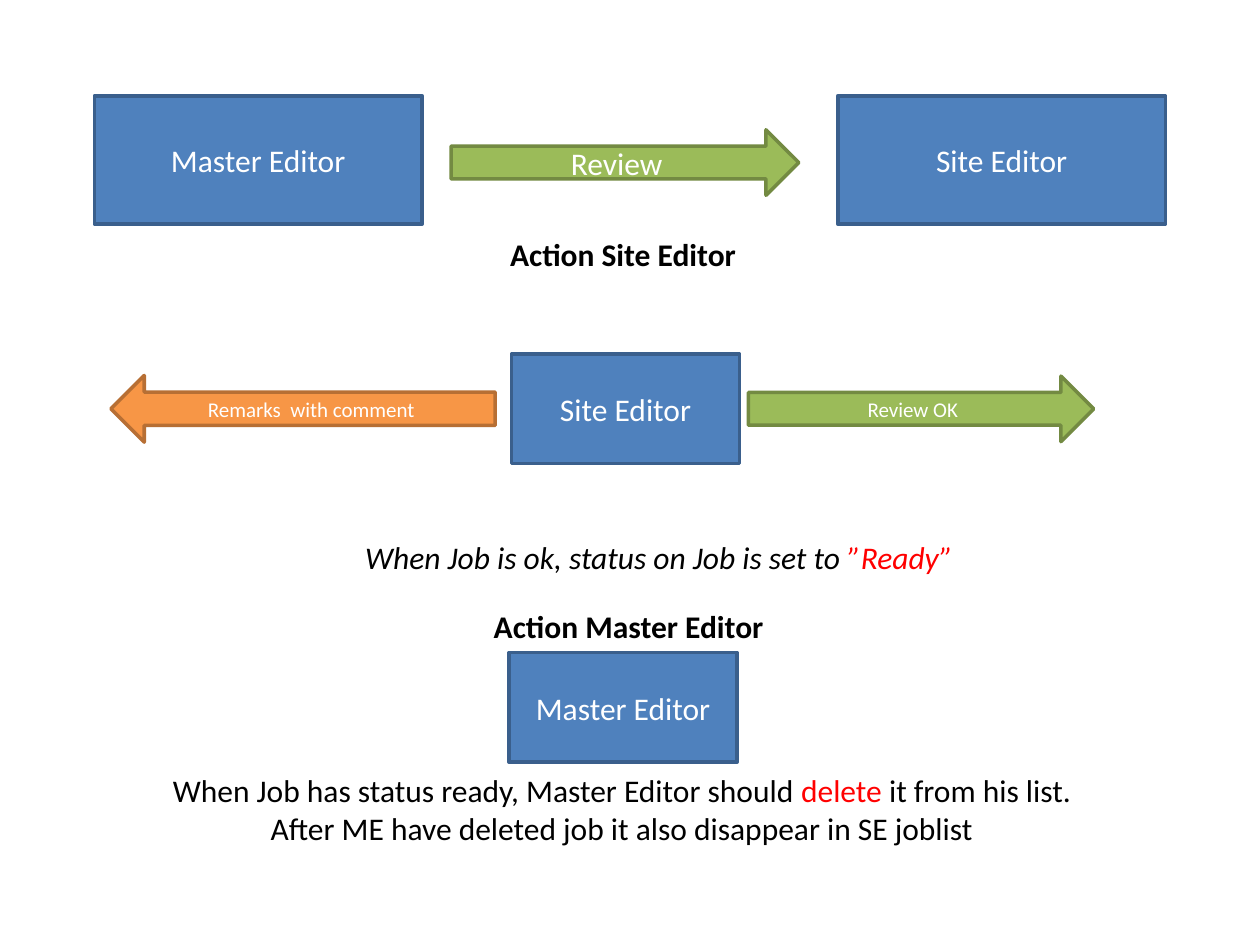
from pptx import Presentation
from pptx.dml.color import RGBColor
from pptx.enum.shapes import MSO_SHAPE
from pptx.enum.text import MSO_ANCHOR, MSO_AUTO_SIZE, PP_ALIGN
from pptx.util import Inches, Pt

RECTANGLE = MSO_SHAPE.RECTANGLE
RIGHT, LEFT = MSO_SHAPE.RIGHT_ARROW, MSO_SHAPE.LEFT_ARROW
CENTER, START = PP_ALIGN.CENTER, PP_ALIGN.LEFT
MIDDLE = MSO_ANCHOR.MIDDLE
FIT_SHAPE = MSO_AUTO_SIZE.SHAPE_TO_FIT_TEXT

THEME = {
    "font": "Calibri",
    "body": 18,
    "small": 12,
    "outline": 2,
    "text": "000000",
    "accent": "FF0000",
    "inverse": "FFFFFF",
    "editor": ("4F81BD", "3A5F8C"),
    "approve": ("9BBB59", "738A42"),
    "remark": ("F79646", "B76F34"),
}

presentation = Presentation()
presentation.slide_width, presentation.slide_height = Inches(10), Inches(7.5)
slide = presentation.slides.add_slide(presentation.slide_layouts[6])


def write_paragraph(paragraph, runs, alignment, size, **styles):
    paragraph.alignment = alignment
    for text, color in runs:
        run = paragraph.add_run()
        run.text = text
        run.font.color.rgb = RGBColor.from_string(THEME[color])
        formats = {"name": THEME["font"], "size": Pt(THEME[size]), **styles}
        for attribute, value in formats.items():
            setattr(run.font, attribute, value)


large_box, small_box = (2.6, 1.02), (1.81, 0.87)
top_row, review_row = 0.76, 2.81
top_middle = top_row + large_box[1] / 2
review_middle = review_row + small_box[1] / 2
margin = 0.75

flow_shapes = [
    ("Master Editor", RECTANGLE, "editor", "body", margin, top_middle, large_box),
    ("Site Editor", RECTANGLE, "editor", "body", 10 - margin - large_box[0], top_middle, large_box),
    ("Review", RIGHT, "approve", "body", 3.58, top_middle + 0.02, (2.76, 0.52)),
    ("Site Editor", RECTANGLE, "editor", "body", 4.06, review_middle, small_box),
    ("Review OK", RIGHT, "approve", "small", 5.94, review_middle, (2.74, 0.52)),
    ("Remarks  with comment", LEFT, "remark", "small", 0.88, review_middle, (3.05, 0.53)),
    ("Master Editor", RECTANGLE, "editor", "body", 4.04, 5.18 + small_box[1] / 2, small_box),
]
for text, kind, palette, size, left, middle, (width, height) in flow_shapes:
    shape = slide.shapes.add_shape(
        kind, Inches(left), Inches(middle - height / 2), Inches(width), Inches(height)
    )
    fill, line = THEME[palette]
    shape.shadow.inherit = False
    shape.fill.solid()
    shape.fill.fore_color.rgb = RGBColor.from_string(fill)
    shape.line.color.rgb = RGBColor.from_string(line)
    shape.line.width = Pt(THEME["outline"])
    shape.text_frame.word_wrap = True
    shape.text_frame.vertical_anchor = MIDDLE
    write_paragraph(shape.text_frame.paragraphs[0], [(text, "inverse")], CENTER, size)

captions = [
    (3.95, 1.82, 2.03, 0.4, START, {"bold": True}, [[("Action Site Editor", "text")]]),
    (2.8, 4.22, 4.91, 0.4, START, {"italic": True}, [
        [("When Job is ok, status on Job is set to ", "text"), ("”Ready”", "accent")],
    ]),
    (3.82, 4.77, 2.45, 0.4, START, {"bold": True}, [[("Action Master Editor", "text")]]),
    (1.23, 6.07, 7.47, 0.71, CENTER, {}, [
        [
            ("When Job has status ready, Master Editor should ", "text"),
            ("delete", "accent"),
            (" it from his list. ", "text"),
        ],
        [("After ME have deleted job it also disappear in SE joblist ", "text")],
    ]),
]
for left, top, width, height, alignment, styles, lines in captions:
    caption = slide.shapes.add_textbox(Inches(left), Inches(top), Inches(width), Inches(height))
    frame = caption.text_frame
    frame.word_wrap = False
    frame.auto_size = FIT_SHAPE
    for index, runs in enumerate(lines):
        paragraph = frame.add_paragraph() if index else frame.paragraphs[0]
        write_paragraph(paragraph, runs, alignment, "body", **styles)

presentation.save("out.pptx")
